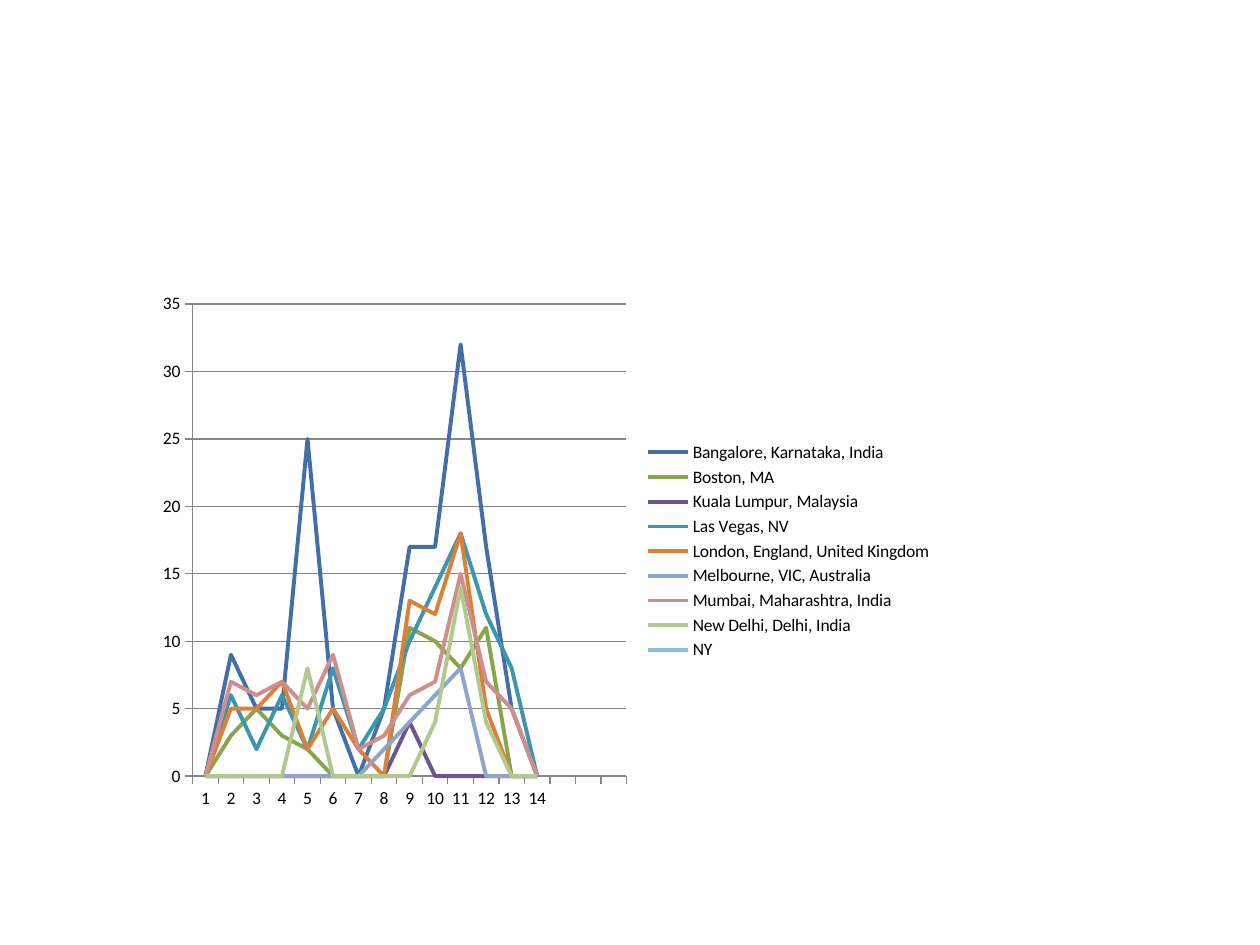
from pptx import Presentation
from pptx.chart.data import CategoryChartData
from pptx.dml.color import RGBColor
from pptx.enum.chart import XL_CHART_TYPE, XL_LEGEND_POSITION, XL_MARKER_STYLE, XL_TICK_MARK
from pptx.util import Pt

COLORS = {
    "text": "000000",
    "axis": "868686",
    "Bangalore, Karnataka, India": "416FA6",
    "Boston, MA": "88A44D",
    "Kuala Lumpur, Malaysia": "6E548D",
    "Las Vegas, NV": "3D96AE",
    "London, England, United Kingdom": "DA8137",
    "Melbourne, VIC, Australia": "8EA5CB",
    "Mumbai, Maharashtra, India": "CE8E8D",
    "New Delhi, Delhi, India": "B1C88F",
    "NY": "8CBDD3",
}
CITY_VALUES = {
    "Bangalore, Karnataka, India": [0, 9, 5, 5, 25, 5, 0, 5, 17, 17, 32, 17, 5, 0],
    "Boston, MA": [0, 3, 5, 3, 2, 0, 0, 0, 11, 10, 8, 11, 0, 0],
    "Kuala Lumpur, Malaysia": [0, 0, 0, 0, 0, 0, 0, 0, 4, 0, 0, 0, 0, 0],
    "Las Vegas, NV": [0, 6, 2, 6, 2, 8, 2, 5, 10, 14, 18, 12, 8, 0],
    "London, England, United Kingdom": [0, 5, 5, 7, 2, 5, 2, 0, 13, 12, 18, 5, 0, 0],
    "Melbourne, VIC, Australia": [0, 0, 0, 0, 0, 0, 0, 2, 4, 6, 8, 0, 0, 0],
    "Mumbai, Maharashtra, India": [0, 7, 6, 7, 5, 9, 2, 3, 6, 7, 15, 7, 5, 0],
    "New Delhi, Delhi, India": [0, 0, 0, 0, 8, 0, 0, 0, 0, 4, 14, 4, 0, 0],
    "NY": [],
}
LABELLED, SLOTS = 14, 17


def style_line(line, color, width):
    line.color.rgb = RGBColor.from_string(COLORS[color])
    line.width = Pt(width)


prs = Presentation()
prs.slide_width, prs.slide_height = Pt(720), Pt(540)
slide = prs.slides.add_slide(prs.slide_layouts[6])

data = CategoryChartData(number_format="0")
data.categories = [str(n) if n <= LABELLED else "" for n in range(1, SLOTS + 1)]
for city, values in CITY_VALUES.items():
    data.add_series(city, values + [None] * (SLOTS - len(values)))

chart = slide.shapes.add_chart(
    XL_CHART_TYPE.LINE, Pt(84), Pt(162), Pt(456), Pt(306), data).chart
chart.has_title = False
chart.font.name = "Calibri"
chart.font.size = Pt(10)
chart.font.color.rgb = RGBColor.from_string(COLORS["text"])

chart.has_legend = True
chart.legend.position = XL_LEGEND_POSITION.RIGHT
chart.legend.include_in_layout = False

for axis in (chart.category_axis, chart.value_axis):
    axis.major_tick_mark = XL_TICK_MARK.OUTSIDE
    axis.minor_tick_mark = XL_TICK_MARK.NONE
    style_line(axis.format.line, "axis", 0.75)

value_axis = chart.value_axis
value_axis.minimum_scale, value_axis.maximum_scale = 0, 35
value_axis.major_unit = 5
value_axis.tick_labels.number_format = "0"
value_axis.tick_labels.number_format_is_linked = False
value_axis.has_major_gridlines = True
style_line(value_axis.major_gridlines.format.line, "axis", 0.75)

plot = chart.plots[0]
plot.vary_by_categories = False
for series in plot.series:
    series.smooth = False
    series.marker.style = XL_MARKER_STYLE.NONE
    style_line(series.format.line, series.name, 2.25)

prs.save("out.pptx")
